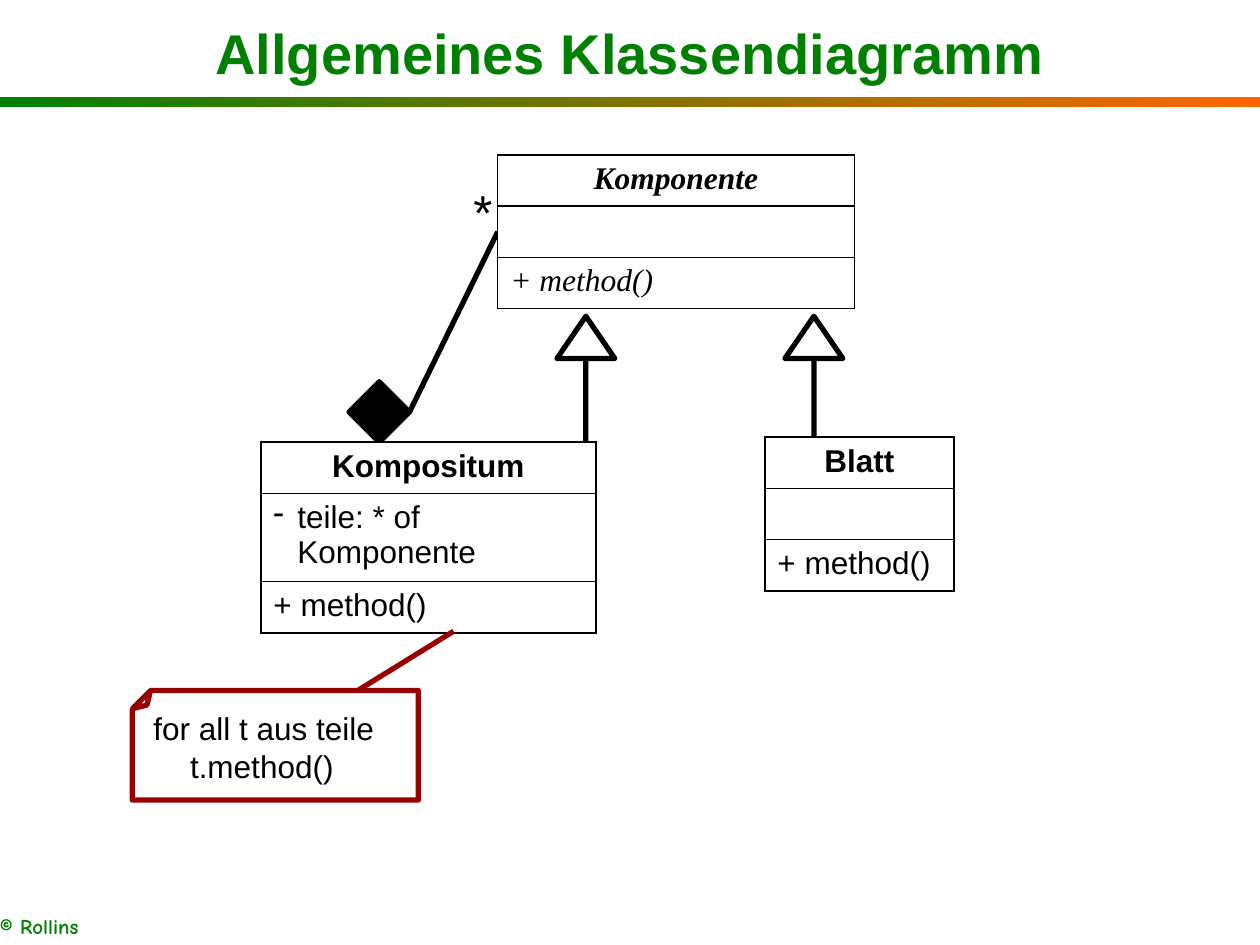
from lxml import etree
from pptx import Presentation
from pptx import util as u
from pptx.dml.color import RGBColor
from pptx.enum import shapes, text
from pptx.oxml import ns

# Grid: 100 columns by 75 rows
COLS, ROWS = 100, 75
CELL = u.Inches(0.1)
BLACK, WHITE, GREEN, ORANGE, RED = "000000", "FFFFFF", "008000", "FF6600", "990000"
SANS, SERIF, COMIC = "Arial", "Times New Roman", "Comic Neue"
LINE_WIDTH = 3
ROW_HEIGHT = 4.07


def rgb(value):
    return RGBColor.from_string(value)


def grid(*lengths):
    return [round(length * CELL) for length in lengths]


def sub(parent, tag, **attributes):
    return etree.SubElement(parent, ns.qn(tag), attributes)


def style_text(paragraph, size=18, font=SANS, color=BLACK, bold=False, italic=False):
    for run in paragraph.runs:
        run.font.size, run.font.name = u.Pt(size), font
        run.font.bold, run.font.italic = bold, italic
        run.font.color.rgb = rgb(color)


def style_line(part, color):
    part.line.color.rgb = rgb(color)
    part.line.width = u.Pt(LINE_WIDTH)
    sub(part.line._get_or_add_ln(), "a:round")


def hang(paragraph, indent):
    properties = paragraph._p.get_or_add_pPr()
    properties.set("marL", str(u.Inches(indent)))
    properties.set("indent", str(-u.Inches(indent)))
    return properties


def add_text(slide, box, words, align=text.PP_ALIGN.LEFT, **style):
    frame = slide.shapes.add_textbox(*grid(*box)).text_frame
    frame.word_wrap = True
    paragraph = frame.paragraphs[0]
    paragraph.text = words
    paragraph.alignment = align
    style_text(paragraph, **style)
    return frame


def add_outline(slide, kind, box, color, fill=None, rotation=0):
    shape = slide.shapes.add_shape(kind, *grid(*box))
    shape.shadow.inherit = False
    shape.rotation = rotation
    if fill:
        shape.fill.solid()
        shape.fill.fore_color.rgb = rgb(fill)
    else:
        shape.fill.background()
    style_line(shape, color)
    return shape


def add_line(slide, start, end, color):
    line = slide.shapes.add_connector(
        shapes.MSO_CONNECTOR.STRAIGHT, *grid(*start, *end))
    style_line(line, color)
    sub(line._element.spPr, "a:effectLst")


def add_border(cell):
    properties = cell._tc.get_or_add_tcPr()
    for position, side in enumerate(("a:lnL", "a:lnR", "a:lnT", "a:lnB")):
        edge = etree.Element(ns.qn(side), w=str(u.Pt(1)))
        sub(sub(edge, "a:solidFill"), "a:srgbClr", val=BLACK)
        properties.insert(position, edge)


def add_header(slide, box):
    left, top, width, height = box
    # Gradient rule along the bottom of the header
    rule = slide.shapes.add_shape(
        shapes.MSO_SHAPE.RECTANGLE, *grid(left, top + height - 0.8, width, 0.8))
    rule.shadow.inherit = False
    rule.line.fill.background()
    rule.fill.gradient()
    rule.fill.gradient_angle = 0
    for stop, color, position in zip(rule.fill.gradient_stops, (GREEN, ORANGE), (0, 1)):
        stop.color.rgb = rgb(color)
        stop.position = position
    # Title
    title = add_text(slide, (left + 7.5, top + 0.4, width - 15, height - 1.1),
                     "Allgemeines Klassendiagramm", text.PP_ALIGN.CENTER,
                     size=32, color=GREEN, bold=True)
    title.vertical_anchor = text.MSO_ANCHOR.MIDDLE


def add_footer(slide, box):
    credit = add_text(slide, box, "© Rollins", size=12, font=COMIC, color=GREEN, bold=True)
    credit.margin_left = credit.margin_bottom = 0


def add_class(slide, box, name, attribute="", font=SANS, abstract=False):
    """Class box with name, attribute and method compartments."""
    left, top, width, height = box
    frame = slide.shapes.add_table(3, 1, *grid(left, top, width, height))
    table = frame.table
    table.first_row = table.horz_banding = False
    heights = grid(ROW_HEIGHT, height - 2 * ROW_HEIGHT, ROW_HEIGHT)
    for index, words in enumerate((name, attribute, "+ method()")):
        table.rows[index].height = heights[index]
        cell = table.cell(index, 0)
        cell.fill.solid()
        cell.fill.fore_color.rgb = rgb(WHITE)
        add_border(cell)
        paragraph = cell.text_frame.paragraphs[0]
        paragraph.text = words
        style_text(paragraph, font=font, bold=index == 0, italic=abstract)
        if index == 0:
            paragraph.alignment = text.PP_ALIGN.CENTER
    if attribute:
        cell = table.cell(1, 0)
        cell.margin_right = u.Inches(0.04)
        sub(hang(cell.text_frame.paragraphs[0], 0.19), "a:buChar", char="-")


def add_inheritance(slide, center, tip, length=15.4, breadth=4.6):
    """Hollow arrow pointing up from a subclass."""
    box = (center - length / 2, tip + (length - breadth) / 2, length, breadth)
    arrow = add_outline(slide, shapes.MSO_SHAPE.RIGHT_ARROW, box, BLACK, rotation=270)
    arrow.adjustments[0], arrow.adjustments[1] = 0, 0.73


def add_composition(slide, box):
    """Filled diamond at the lower left, joined to the upper right corner."""
    left, top, width, height = box
    size = 4.8
    add_outline(slide, shapes.MSO_SHAPE.DIAMOND,
                (left, top + height - size, size, size), BLACK, fill=BLACK)
    add_line(slide, (left + size, top + height - size / 2), (left + width, top), BLACK)
    # Multiplicity
    add_text(slide, (left + width - 2.9, top - 4.5, 3.4, 5.7), "*", size=28)


def add_note(slide, box, anchor):
    left, top, width, height = box
    add_outline(slide, shapes.MSO_SHAPE.FOLDED_CORNER, box, RED, rotation=180)
    code = add_text(slide, (left + 0.7, top + 1, width - 1.4, height - 1.6),
                    "for all t aus teile\vt.method()")
    hang(code.paragraphs[0], 0.29)
    add_line(slide, anchor, (left + 17.9, top), RED)


def add_diagram(slide, box):
    left, top, width, height = box
    # Relations, drawn behind the subclasses
    add_composition(slide, (left + 17.2, top + 6.1, 11.8, 16.7))
    for center in (36, 54.1):
        add_inheritance(slide, left + center, top + 12.8)
    # Classes
    add_class(slide, (left + 29, top, 28.3, 3 * ROW_HEIGHT), "Komponente",
              font=SERIF, abstract=True)
    add_class(slide, (left + 10.2, top + 22.8, 26.6, 15.1), "Kompositum",
              "teile: * of Komponente")
    add_class(slide, (left + width - 15, top + 22.4, 15, 3 * ROW_HEIGHT), "Blatt")
    # Note on the method of the composite
    add_note(slide, (left, top + height - 8.7, 22.7, 8.7), (left + 25.5, top + 37.8))


def main():
    deck = Presentation()
    deck.slide_width, deck.slide_height = grid(COLS, ROWS)
    slide = deck.slides.add_slide(deck.slide_layouts[6])
    add_header(slide, (0, 0, COLS, 8.5))
    add_footer(slide, (0, ROWS - 3, 15, 2.5))
    add_diagram(slide, (10.5, 12.3, 65.2, 51.2))
    deck.save("out.pptx")


if __name__ == "__main__":
    main()
